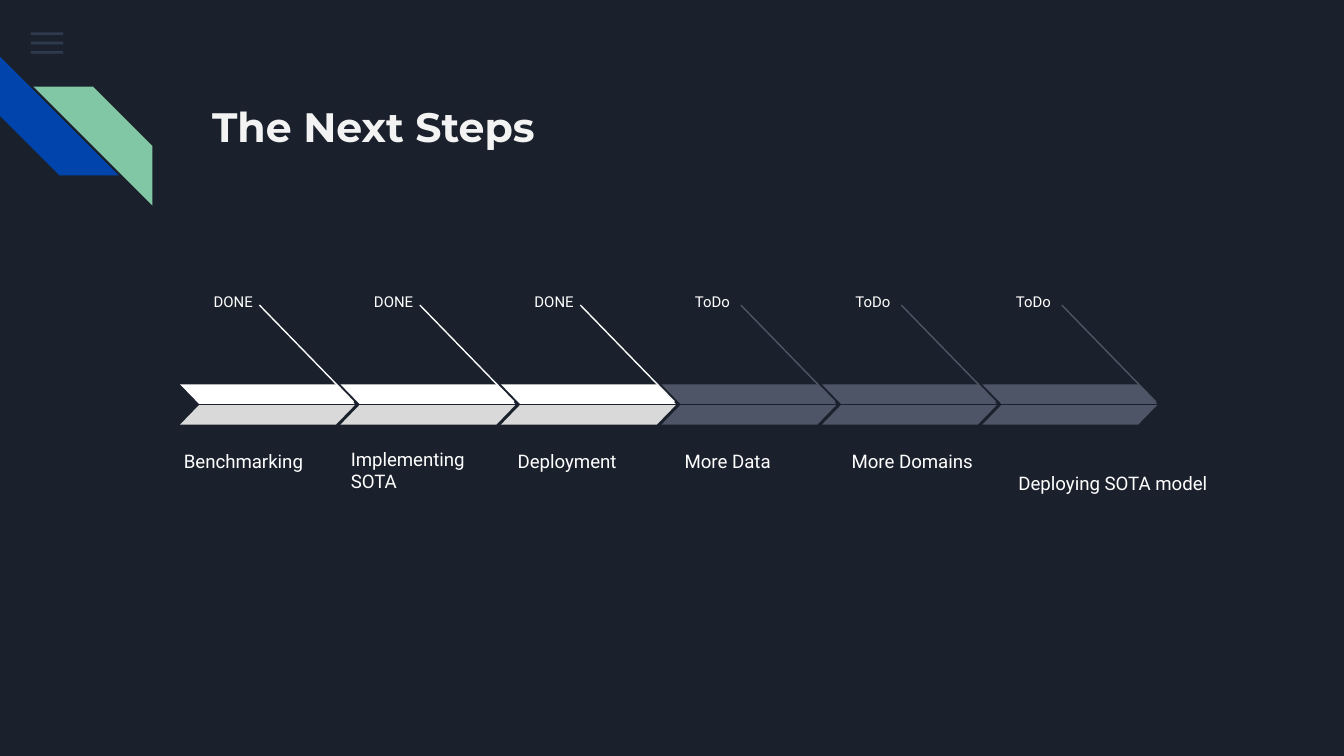
from lxml import etree
from pptx import Presentation
from pptx.dml.color import RGBColor as Rgb
from pptx.enum.shapes import MSO_CONNECTOR as Conn, MSO_SHAPE as Kind
from pptx.enum.text import MSO_ANCHOR as Anchor
from pptx.oxml.ns import qn
from pptx.util import Inches, Pt

COLS, ROWS = 100, 56.25
WIDE = Inches(10)
HIGH = WIDE * 9 // 16
HUES = {
    "back": "1B212C", "menu": "55688B", "blue": "0145AC", "green": "82C7A5",
    "title": "F3F3F3", "white": "FFFFFF", "pale": "D9D9D9", "slate": "4E5567",
}
STEPS = [
    ("Benchmarking", True), ("Implementing SOTA", True), ("Deployment", True),
    ("More Data", False), ("More Domains", False), ("Deploying SOTA model", False),
]


def hue(name):
    return Rgb.from_string(HUES[name])


def across(cols):
    return round(WIDE * cols / COLS)


def down(rows):
    return round(HIGH * rows / ROWS)


def place(box):
    x, y, w, h = box
    return across(x), down(y), across(w), down(h)


def draw(slide, kind, box, tint, adj=None, flip=False):
    shape = slide.shapes.add_shape(kind, *place(box))
    shape.shadow.inherit = False
    shape.fill.solid()
    shape.fill.fore_color.rgb = hue(tint)
    shape.line.fill.background()
    if adj is not None:
        shape.adjustments[0] = adj
    if flip:
        shape._element.spPr.find(qn("a:xfrm")).set("flipH", "1")
    return shape


def write(slide, box, text, size, font="Roboto", tint="white", bold=False, anchor=Anchor.TOP):
    frame = slide.shapes.add_textbox(*place(box)).text_frame
    frame.word_wrap = True
    frame.vertical_anchor = anchor
    frame.margin_left = frame.margin_right = across(1)
    frame.margin_top = frame.margin_bottom = down(1)
    frame.text = text
    face = frame.paragraphs[0].runs[0].font
    face.name, face.size, face.bold = font, Pt(size), bold
    face.color.rgb = hue(tint)


def link(slide, start, end, tint):
    line = slide.shapes.add_connector(
        Conn.STRAIGHT, across(start[0]), down(start[1]), across(end[0]), down(end[1]))
    line.line.color.rgb = hue(tint)
    line.line.width = Pt(0.75)
    etree.SubElement(line._element.spPr, qn("a:effectLst"))


def menu(slide, box):
    x, y, w, h = box
    thick = 0.2
    for i in range(3):
        bar = draw(slide, Kind.RECTANGLE, (x, y + i * (h - thick) / 2, w, thick), "menu")
        color = bar._element.spPr.find(qn("a:solidFill"))[0]
        etree.SubElement(color, qn("a:alpha")).set("val", "36000")


def badge(slide, box):
    x, y, w, h = box
    side = 8.85
    left = draw(slide, Kind.DIAGONAL_STRIPE, (x, y, side, side), "blue", 0.5)
    left.rotation = 270
    draw(slide, Kind.DIAGONAL_STRIPE,
         (x + w - side, y + h - side, side, side), "green", 0.5, True)


def step(slide, box, done):
    x, y, w, h = box
    top, low = ("white", "pale") if done else ("slate", "slate")
    half, slant = 1.45, 0.97
    bar = y + h - 3
    write(slide, (x + 1.5, y + 0.3, 5.9, 2.3), "DONE" if done else "ToDo", 8)
    link(slide, (x + 5.9, y + 1.9), (x + w - 0.1, bar + 1.3), top)
    draw(slide, Kind.PARALLELOGRAM, (x, bar, w, half), top, slant, True)
    draw(slide, Kind.PARALLELOGRAM, (x, y + h - half, w, half), low, slant)


def track(slide, box):
    x, y, w, h = box
    wide = 13
    last = len(STEPS) - 1
    pitch = (w - wide) / last
    for i, (name, done) in enumerate(STEPS):
        step(slide, (x + i * pitch, y, wide, h), done)
        span = 17.3 if i == last else 12.4
        drop = 1.7 if len(name) > span else 0
        write(slide, (x - 0.7 + i * 12.42, y + h - 0.05 + drop, span, 4.4),
              name, 10, anchor=Anchor.BOTTOM)


def main():
    deck = Presentation()
    deck.slide_width, deck.slide_height = WIDE, HIGH
    slide = deck.slides.add_slide(deck.slide_layouts[6])
    slide.background.fill.solid()
    slide.background.fill.fore_color.rgb = hue("back")
    menu(slide, (2.3, 2.4, 2.4, 1.6))
    badge(slide, (0, 4.2, 11.35, 11.1))
    write(slide, (14.8, 6.55, 38.7, 7.2), "The Next Steps", 22, "Montserrat", "title", True)
    track(slide, (13.4, 20.8, 72.7, 10.8))
    deck.save("out.pptx")


if __name__ == "__main__":
    main()
